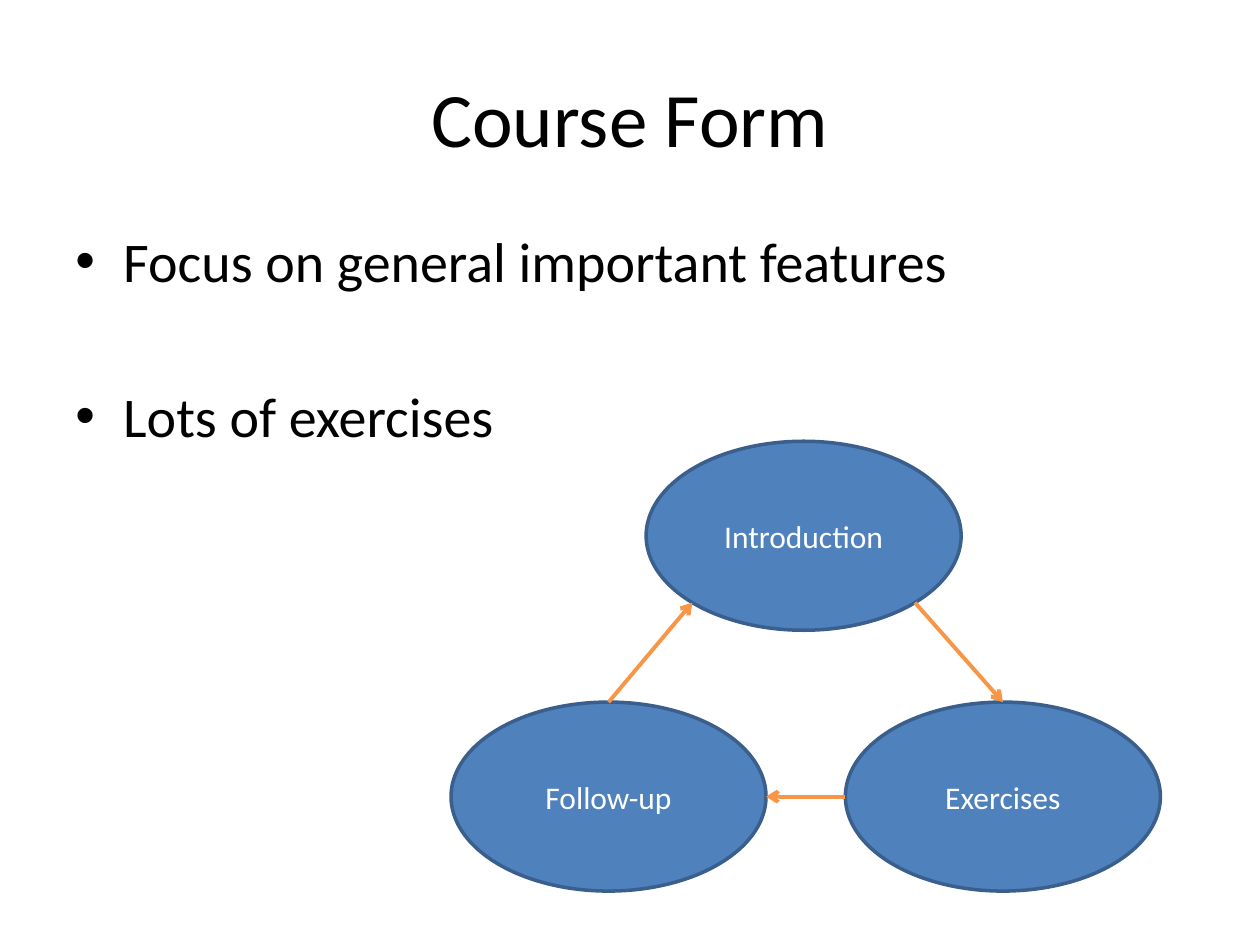
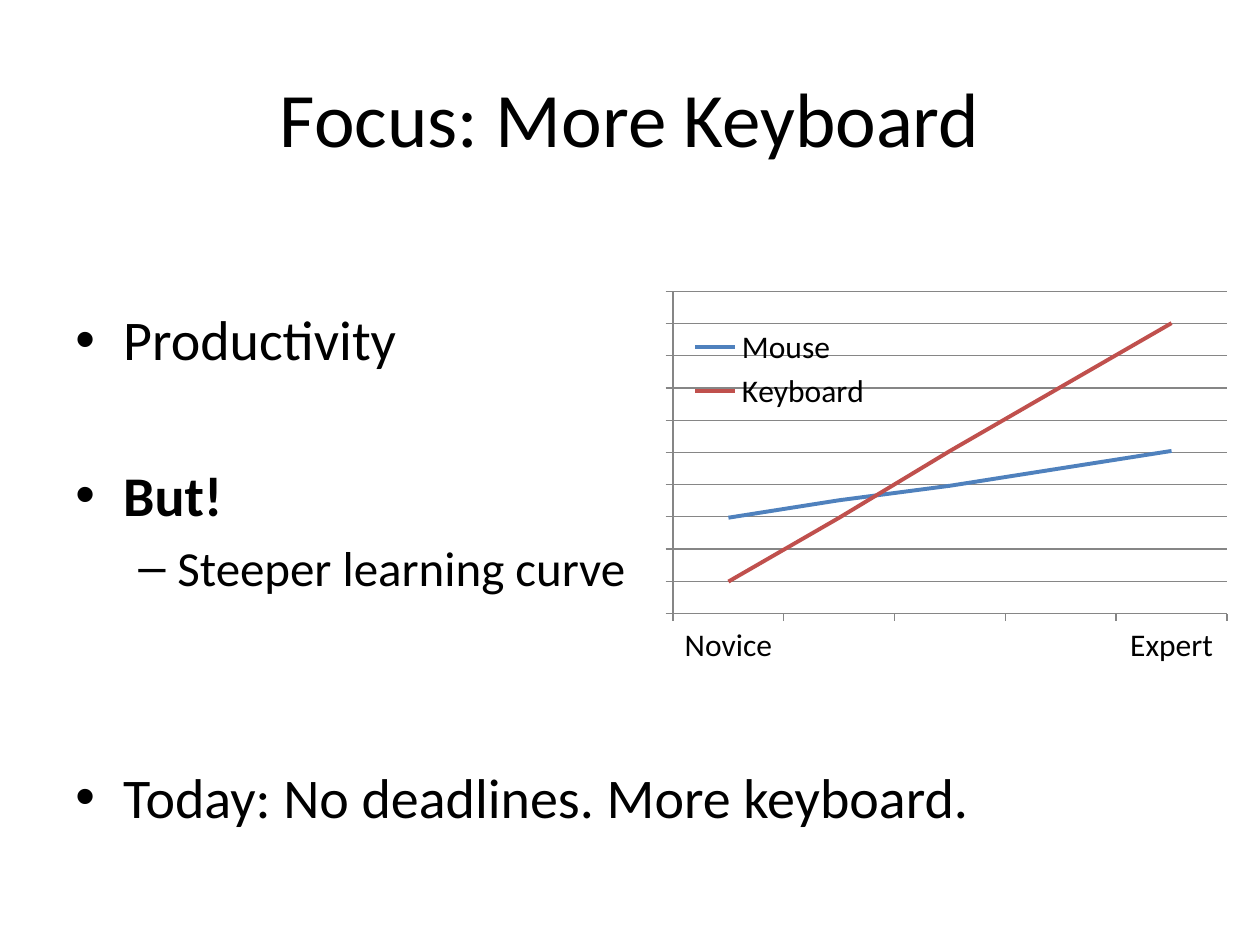
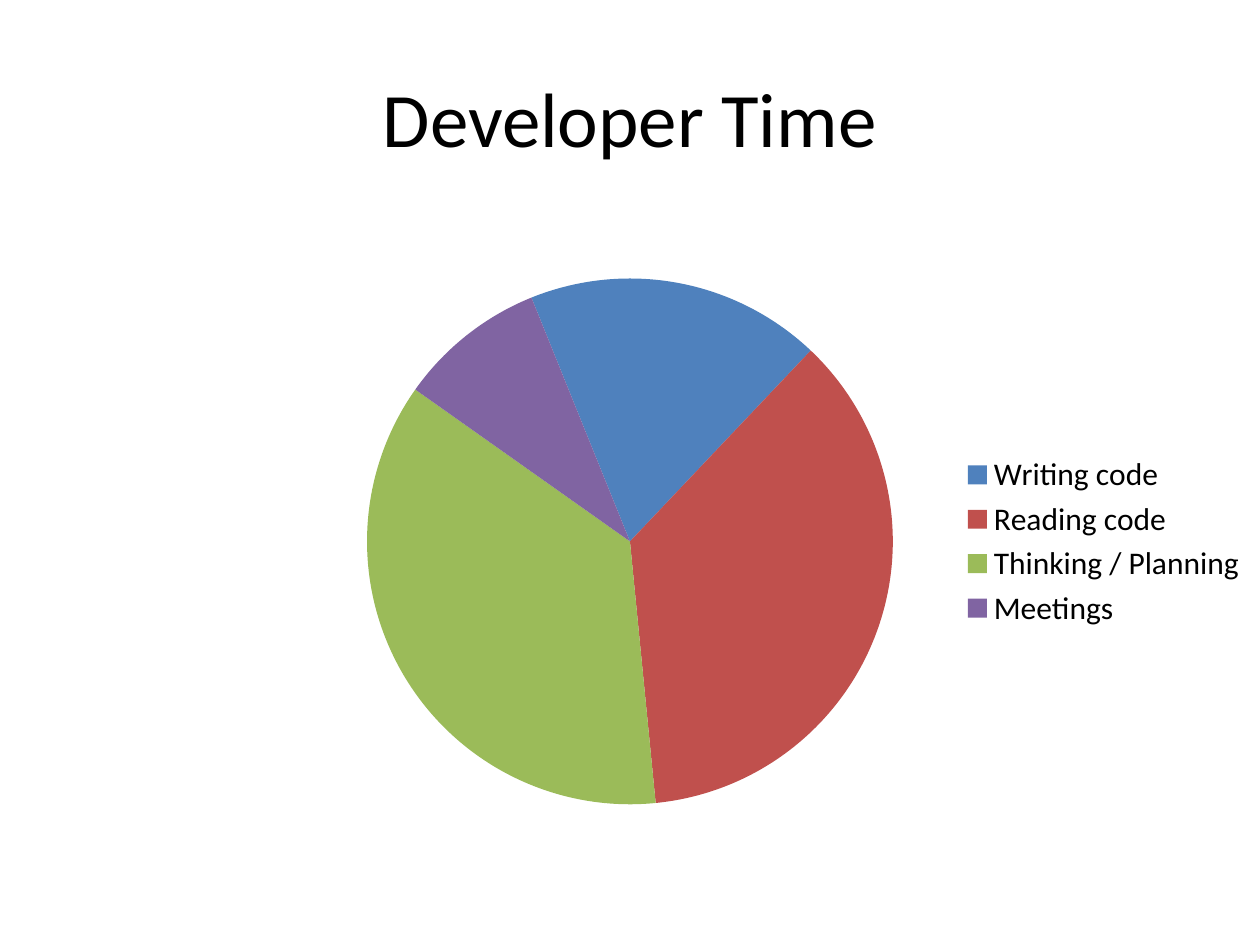
from math import cos, radians, sin

from lxml import etree
from pptx import Presentation
from pptx.chart.data import CategoryChartData
from pptx.dml.color import RGBColor
from pptx.enum.chart import (XL_CHART_TYPE, XL_LEGEND_POSITION, XL_MARKER_STYLE,
                             XL_TICK_LABEL_POSITION, XL_TICK_MARK)
from pptx.enum.shapes import MSO_CONNECTOR, MSO_SHAPE
from pptx.enum.text import MSO_ANCHOR, PP_ALIGN
from pptx.oxml.ns import qn
from pptx.util import Inches, Pt

WIDTH, HEIGHT = 10, 7.5
FONT = "Calibri"
COLORS = {
    "text": "000000", "paper": "FFFFFF", "blue": "4F81BD", "red": "C0504D",
    "green": "9BBB59", "purple": "8064A2", "outline": "3A5F8C",
    "arrow": "F79646", "grid": "868686",
}
TITLE_BOX = (0.5, 0.3, 9, 1.25)
BODY_BOX = (0.5, 1.75, 9, 4.95)
BULLETS = [("•", 32, 0.38, 0.38), ("–", 28, 0.81, 0.31)]
SPACING = 5.6
BLANK_LINE = 39.06 + SPACING


def rgb(name):
    """Return a palette colour."""
    return RGBColor.from_string(COLORS[name])


def part(box, left, top, width, height):
    """Return the box that covers the given shares of another box."""
    x, y, w, h = box
    return x + left * w, y + top * h, width * w, height * h


def style(font, size, color="text", bold=False):
    """Apply the shared typeface with a size, colour and weight."""
    font.name, font.size, font.bold = FONT, Pt(size), bold
    font.color.rgb = rgb(color)


def stroke(line, color, width):
    """Give a line its colour and width."""
    line.color.rgb, line.width = rgb(color), Pt(width)


def centred(frame, text, size, color="text"):
    """Write one centred line in the middle of a text frame."""
    frame.word_wrap, frame.vertical_anchor = True, MSO_ANCHOR.MIDDLE
    paragraph = frame.paragraphs[0]
    paragraph.alignment = PP_ALIGN.CENTER
    run = paragraph.add_run()
    run.text = text
    style(run.font, size, color)


def titled_slide(deck, title):
    """Add a blank slide with the shared title."""
    slide = deck.slides.add_slide(deck.slide_layouts[6])
    slide.background.fill.solid()
    slide.background.fill.fore_color.rgb = rgb("paper")
    box = slide.shapes.add_textbox(*map(Inches, TITLE_BOX))
    centred(box.text_frame, title, 44)
    return slide


def bullet_list(slide, box, items, lead=0):
    """Write (text, level, blank lines before, bold) items below a lead of blank lines."""
    frame = slide.shapes.add_textbox(*map(Inches, box)).text_frame
    frame.word_wrap = True
    frame.margin_top = Inches(0.05) + Pt(lead * BLANK_LINE)
    for index, (text, level, blanks, bold) in enumerate(items):
        paragraph = frame.add_paragraph() if index else frame.paragraphs[0]
        mark, size, margin, hang = BULLETS[level]
        paragraph.level = level
        paragraph.space_before = Pt(SPACING + blanks * BLANK_LINE if index else 0)
        properties = paragraph._p.get_or_add_pPr()
        properties.set("marL", str(Inches(margin)))
        properties.set("indent", str(-Inches(hang)))
        etree.SubElement(properties, qn("a:buFont"), typeface="Arial")
        etree.SubElement(properties, qn("a:buChar"), char=mark)
        run = paragraph.add_run()
        run.text = text
        style(run.font, size, bold=bold)


def rim(box, angle):
    """Return the point of an ellipse at an angle, clockwise from the right."""
    x, y, w, h = box
    turn = radians(angle)
    return x + w / 2 * (1 + cos(turn)), y + h / 2 * (1 + sin(turn))


def arrow(slide, start, end):
    """Draw an open-headed arrow between two points."""
    line = slide.shapes.add_connector(MSO_CONNECTOR.STRAIGHT, *map(Inches, start + end))
    stroke(line.line, "arrow", 2.25)
    etree.SubElement(line.line._get_or_add_ln(), qn("a:tailEnd"), type="arrow")
    etree.SubElement(line._element.spPr, qn("a:effectLst"))


def cycle(slide, box):
    """Draw the three course stages and the arrows between them."""
    wide, high = 2.5 / box[2], 1.5 / box[3]
    spots = {
        "Introduction": (0.275, 0),
        "Exercises": (1 - wide, 1 - high),
        "Follow-up": (0, 1 - high),
    }
    stages = {name: part(box, *spot, wide, high) for name, spot in spots.items()}
    for name, place in stages.items():
        oval = slide.shapes.add_shape(MSO_SHAPE.OVAL, *map(Inches, place))
        oval.shadow.inherit = False
        oval.fill.solid()
        oval.fill.fore_color.rgb = rgb("blue")
        stroke(oval.line, "outline", 2)
        centred(oval.text_frame, name, 18, "paper")
    for start, leave, end, reach in [("Introduction", 45, "Exercises", 270),
                                     ("Exercises", 180, "Follow-up", 0),
                                     ("Follow-up", 270, "Introduction", 135)]:
        arrow(slide, rim(stages[start], leave), rim(stages[end], reach))


def lay_out(parent, position, shares, inner=False):
    """Fix a chart part at shares of the chart's size."""
    for old in parent.findall(qn("c:layout")):
        parent.remove(old)
    layout = etree.Element(qn("c:layout"))
    parent.insert(position, layout)
    manual = etree.SubElement(layout, qn("c:manualLayout"))
    settings = [("layoutTarget", "inner")] if inner else []
    settings += [("xMode", "edge"), ("yMode", "edge"), *zip("xywh", shares)]
    for tag, value in settings:
        etree.SubElement(manual, qn(f"c:{tag}"), val=str(value))


def add_chart(slide, box, kind, categories, series, plot_shares):
    """Add a chart with the shared font, an overlaid legend and a fixed plot."""
    data = CategoryChartData()
    data.categories = categories
    for name, values in series:
        data.add_series(name, values)
    chart = slide.shapes.add_chart(kind, *map(Inches, box), data).chart
    style(chart.font, 18)
    chart.has_title, chart.has_legend = False, True
    chart.legend.position = XL_LEGEND_POSITION.RIGHT
    chart.legend.include_in_layout = True
    lay_out(chart._chartSpace.chart.plotArea, 0, plot_shares, inner=True)
    return chart


def learning_curves(slide, box):
    """Draw the productivity lines of mouse and keyboard."""
    chart = add_chart(slide, box, XL_CHART_TYPE.LINE, ["Novice", "", "", "", "Expert"],
                      [("Mouse", (33, 39, 44, 50, 56)),
                       ("Keyboard", (11, 33, 56, 78, 100))],
                      (0.02, 0.02, 0.96, 0.83))
    lay_out(chart.legend._element, 1, (0.04, 0.1, 0.33, 0.24))
    chart.plots[0].vary_by_categories = False
    for series, color in zip(chart.plots[0].series, ("blue", "red")):
        series.smooth = False
        series.marker.style = XL_MARKER_STYLE.NONE
        stroke(series.format.line, color, 2.25)
    scale = chart.value_axis
    scale.minimum_scale, scale.maximum_scale, scale.major_unit = 0, 111, 11.1
    scale.tick_label_position = XL_TICK_LABEL_POSITION.NONE
    scale.has_major_gridlines = True
    stroke(scale.major_gridlines.format.line, "grid", 0.75)
    for axis in (scale, chart.category_axis):
        axis.major_tick_mark = XL_TICK_MARK.OUTSIDE
        stroke(axis.format.line, "grid", 0.75)


def time_shares(slide, box):
    """Draw the pie of a developer's time."""
    chart = add_chart(slide, box, XL_CHART_TYPE.PIE,
                      ["Writing code", "Reading code", "Thinking / Planning", "Meetings"],
                      [("Series 1", (18, 36, 36, 9))], (0.29, 0.03, 0.42, 0.94))
    plot = chart.plots[0]
    plot.vary_by_categories = True
    for index, color in enumerate(("blue", "red", "green", "purple")):
        fill = plot.series[0].points[index].format.fill
        fill.solid()
        fill.fore_color.rgb = rgb(color)
    pie = chart._chartSpace.chart.plotArea.find(qn("c:pieChart"))
    for old in pie.findall(qn("c:firstSliceAng")):
        pie.remove(old)
    etree.SubElement(pie, qn("c:firstSliceAng"), val="338")


def main():
    """Build the three slides and save the deck."""
    deck = Presentation()
    deck.slide_width, deck.slide_height = Inches(WIDTH), Inches(HEIGHT)
    page = (0, 0, WIDTH, HEIGHT)

    form = titled_slide(deck, "Course Form")
    bullet_list(form, BODY_BOX, [("Focus on general important features", 0, 0, False),
                                 ("Lots of exercises", 0, 1, False)])
    cycle(form, part(page, 0.358, 0.467, 0.563, 0.476))

    focus = titled_slide(deck, "Focus: More Keyboard")
    learning_curves(focus, part(page, 0.525, 0.3, 0.458, 0.411))
    bullet_list(focus, BODY_BOX, [("Productivity", 0, 0, False),
                                  ("But!", 0, 1, True),
                                  ("Steeper learning curve", 1, 0, False),
                                  ("Today: No deadlines. More keyboard.", 0, 2, False)],
                lead=1)

    time = titled_slide(deck, "Developer Time")
    time_shares(time, part(page, 0, 0.277, 1, 0.592))

    deck.save("out.pptx")


main()
